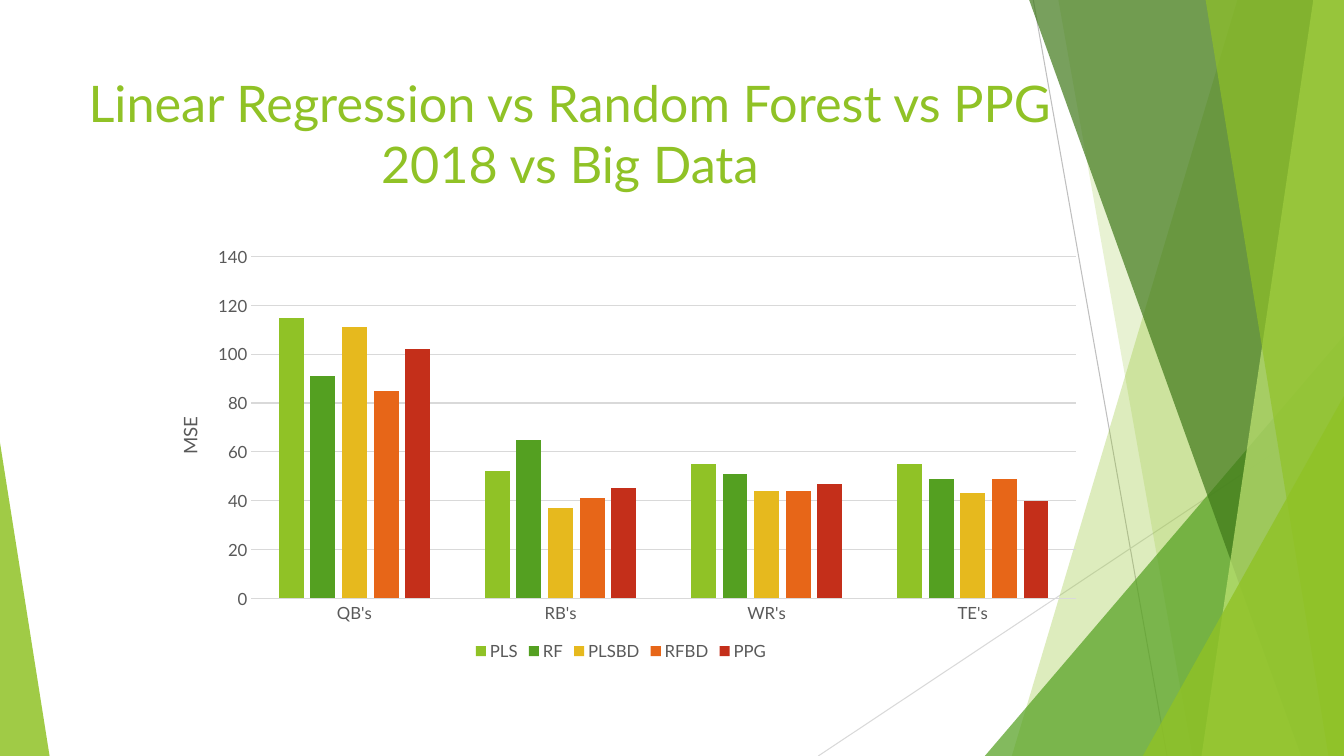
from lxml.etree import SubElement
from pptx import Presentation
from pptx.chart.data import CategoryChartData
from pptx.dml.color import RGBColor
from pptx.enum.chart import XL_CHART_TYPE, XL_LEGEND_POSITION, XL_TICK_MARK
from pptx.enum.shapes import MSO_CONNECTOR, MSO_SHAPE
from pptx.enum.text import MSO_ANCHOR, PP_ALIGN
from pptx.oxml import parse_xml
from pptx.oxml.ns import nsdecls, qn
from pptx.util import Cm, Pt

COLORS = {
    "lime": "90C226", "green": "54A021", "forest": "3F7819", "pale": "C0E474",
    "yellow": "E6B91E", "orange": "E76618", "red": "C42F1A",
    "text": "595959", "grid": "D9D9D9", "hairline": "BFBFBF",
}
WIDTH, HEIGHT = 33.87, 19.05
TOP = -0.02

THIN_LINES = [
    ((26.04, 0), (29.41, HEIGHT), "hairline"),
    ((WIDTH, 10.24), (20.62, HEIGHT), "grid"),
]
BANDS_BEHIND = [
    (31.19, 25.5, "lime", 30),
    (26.67, 30.05, "lime", 20),
]
BANDS_FRONT = [
    (25.93, 32.79, "forest", 70),
    (33.1, 30.28, "pale", 70),
    (30.38, 33.48, "lime", 65),
]
CORNER_BEHIND = (24.82, 8.46, 9.05, 1, "green", 72)
CORNERS_FRONT = [
    (28.8, 9.98, 5.07, 1, "lime", 80),
    (0, 11.15, 1.25, 0, "lime", 85),
]
POSITIONS = ["QB's", "RB's", "WR's", "TE's"]
MODELS = [
    ("PLS", (115, 52, 55, 55), "lime"),
    ("RF", (91, 65, 51, 49), "green"),
    ("PLSBD", (111, 37, 44, 43), "yellow"),
    ("RFBD", (85, 41, 44, 49), "orange"),
    ("PPG", (102, 45, 47, 40), "red"),
]


class SlideBuilder:
    font = "Lato"

    def __init__(self, page):
        self.page = page

    def apply(self, target, **formats):
        for name, value in formats.items():
            setattr(target, name, value)

    def color(self, name):
        return RGBColor.from_string(COLORS[name])

    def style_font(self, font, size, color):
        self.apply(font, name=self.font, size=Pt(size), bold=False)
        font.color.rgb = self.color(color)

    def style_line(self, line, color):
        line.color.rgb = self.color(color)
        line.width = Pt(0.75)

    def line(self, start, end, color):
        connector = self.page.shapes.add_connector(
            MSO_CONNECTOR.STRAIGHT, *map(Cm, start + end))
        self.style_line(connector.line, color)
        SubElement(connector._element.spPr, qn("a:effectLst"))

    def paint(self, shape, color, opacity):
        shape.shadow.inherit = False
        shape.fill.solid()
        shape.fill.fore_color.rgb = self.color(color)
        shape.line.fill.background()
        tint = shape._element.spPr.find(qn("a:solidFill"))[0]
        SubElement(tint, qn("a:alpha"), val=str(opacity * 1000))

    def band(self, top_left, bottom_left, color, opacity):
        outline = self.page.shapes.build_freeform(Cm(top_left), Cm(TOP))
        corners = [(WIDTH, TOP), (WIDTH, HEIGHT), (bottom_left, HEIGHT)]
        outline.add_line_segments([(Cm(x), Cm(y)) for x, y in corners])
        self.paint(outline.convert_to_shape(), color, opacity)

    def corner(self, left, top, width, apex, color, opacity):
        shape = self.page.shapes.add_shape(
            MSO_SHAPE.ISOSCELES_TRIANGLE,
            Cm(left), Cm(top), Cm(width), Cm(HEIGHT - top))
        shape.adjustments[0] = apex
        self.paint(shape, color, opacity)

    def title(self, lines, left, top, width, height):
        box = self.page.shapes.add_textbox(*map(Cm, (left, top, width, height)))
        self.apply(box.text_frame, word_wrap=True, vertical_anchor=MSO_ANCHOR.TOP)
        para = box.text_frame.paragraphs[0]
        para.alignment = PP_ALIGN.CENTER
        for index, text in enumerate(lines):
            if index:
                para.add_line_break()
            span = para.add_run()
            span.text = text
            self.style_font(span.font, 36, "lime")

    def layout(self, **places):
        layout = parse_xml(f"<c:layout {nsdecls('c')}/>")
        manual = SubElement(layout, qn("c:manualLayout"))
        for name, value in places.items():
            SubElement(manual, qn(f"c:{name}"), val=str(value))
        return layout

    def drop_layout(self, element):
        for layout in element.findall(qn("c:layout")):
            element.remove(layout)

    def chart(self, categories, models, left, top, width, height):
        data = CategoryChartData()
        data.categories = categories
        for name, values, _ in models:
            data.add_series(name, values)
        chart = self.page.shapes.add_chart(
            XL_CHART_TYPE.COLUMN_CLUSTERED,
            *map(Cm, (left, top, width, height)), data).chart
        self.style_font(chart.font, 12, "text")
        self.apply(chart, has_title=False, has_legend=True)
        self.apply(chart.legend, position=XL_LEGEND_POSITION.BOTTOM,
                   include_in_layout=False)
        self.style_font(chart.legend.font, 12, "text")
        plot = chart.plots[0]
        self.apply(plot, gap_width=219, overlap=-27, vary_by_categories=False)
        for series, (_, _, color) in zip(plot.series, models):
            series.format.fill.solid()
            series.format.fill.fore_color.rgb = self.color(color)
        for axis in (chart.category_axis, chart.value_axis):
            self.apply(axis, major_tick_mark=XL_TICK_MARK.NONE,
                       minor_tick_mark=XL_TICK_MARK.NONE)
            self.style_font(axis.tick_labels.font, 12, "text")
        self.style_line(chart.category_axis.format.line, "grid")
        self.value_axis(chart.value_axis)
        frame = chart._chartSpace.find(qn("c:chart"))
        area = frame.find(qn("c:plotArea"))
        self.drop_layout(area)
        area.insert(0, self.layout(
            layoutTarget="inner", xMode="edge", yMode="edge",
            x=0.11, y=0.044, w=0.87, h=0.8))
        frame.addnext(parse_xml(
            f"<c:spPr {nsdecls('c', 'a')}><a:noFill/>"
            "<a:ln><a:noFill/></a:ln></c:spPr>"))

    def value_axis(self, axis):
        self.apply(axis, minimum_scale=0, maximum_scale=140, major_unit=20,
                   has_major_gridlines=True, has_title=True)
        axis.format.line.fill.background()
        self.style_line(axis.major_gridlines.format.line, "grid")
        frame = axis.axis_title.text_frame
        frame.text = "MSE"
        self.style_font(frame.paragraphs[0].runs[0].font, 13.3, "text")
        direction = frame._txBody.find(qn("a:bodyPr"))
        direction.set("rot", "-5400000")
        direction.set("vert", "horz")
        title = axis.axis_title._element
        self.drop_layout(title)
        title.find(qn("c:tx")).addnext(
            self.layout(xMode="edge", yMode="edge", x=0.027, y=0.41))


def main():
    deck = Presentation()
    deck.slide_width, deck.slide_height = Cm(WIDTH), Cm(HEIGHT)
    builder = SlideBuilder(deck.slides.add_slide(deck.slide_layouts[6]))
    for thin_line in THIN_LINES:
        builder.line(*thin_line)
    for band in BANDS_BEHIND:
        builder.band(*band)
    builder.corner(*CORNER_BEHIND)
    for band in BANDS_FRONT:
        builder.band(*band)
    for corner in CORNERS_FRONT:
        builder.corner(*corner)
    builder.title(["Linear Regression vs Random Forest vs PPG", "2018 vs Big Data"],
                  1.14, 1.7, 26.44, 3.66)
    builder.chart(POSITIONS, MODELS, 3.71, 5.99, 23.88, 10.77)
    deck.save("out.pptx")


if __name__ == "__main__":
    main()
